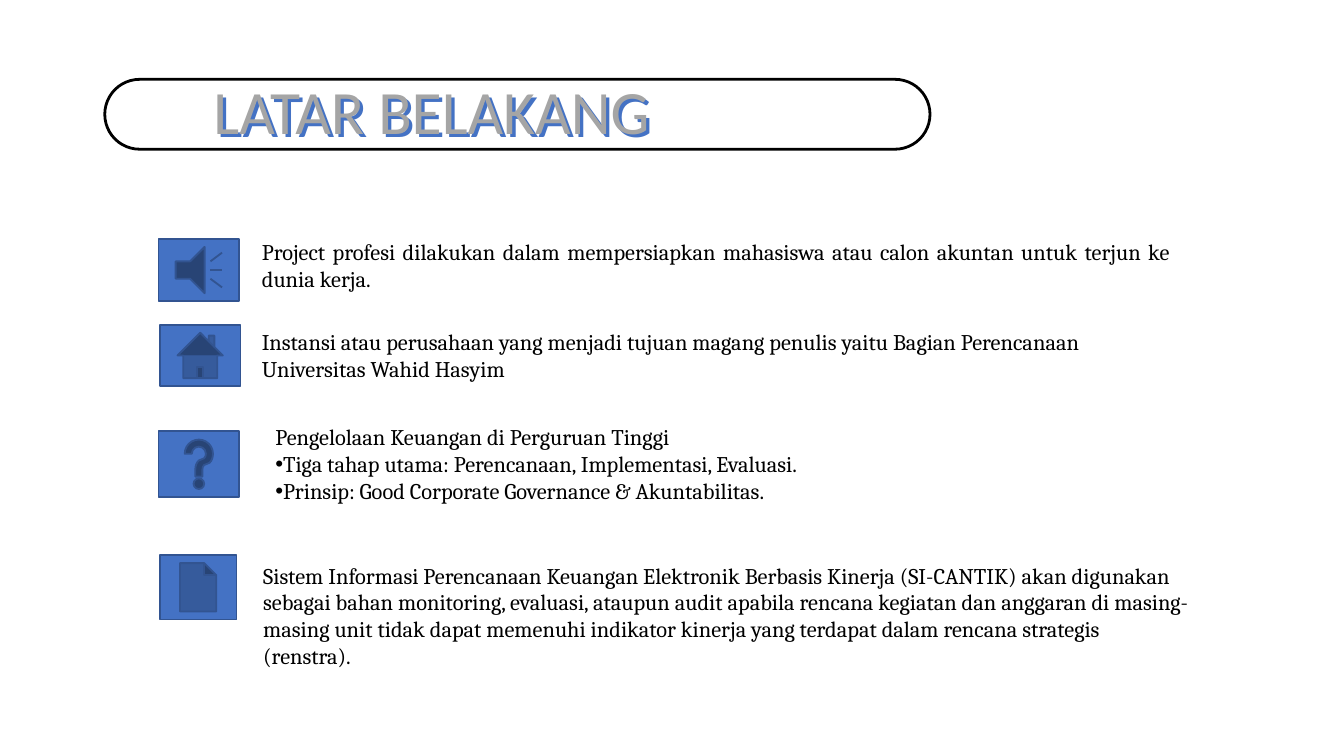
from lxml.etree import SubElement
from pptx import Presentation
from pptx.dml.color import RGBColor
from pptx.enum.shapes import MSO_SHAPE as Kind
from pptx.enum.text import MSO_ANCHOR as Anchor, MSO_AUTO_SIZE as Fit, PP_ALIGN as Align
from pptx.oxml.ns import qn
from pptx.util import Inches, Pt

THEME = {
    "white": "FFFFFF", "black": "000000", "gray": "A5A5A5",
    "blue": "4472C4", "edge": "325491",
    "head": {"name": "Calibri", "size": Pt(33)},
    "body": {"name": "Cambria", "size": Pt(12)},
}
MIDDLE = {"vertical_anchor": Anchor.MIDDLE, "margin_top": Inches(0.1),
          "margin_bottom": Inches(0.1)}
GROW = {"auto_size": Fit.SHAPE_TO_FIT_TEXT}

TITLE = "LATAR BELAKANG"
BANNER = (0.78, 0.59, 6.14, 0.52)
HEAD = (1.49, 0.63, 5.73, 0.44)

# A line that starts with a bullet sign becomes a bulleted paragraph.
ROWS = [
    {"icon": Kind.ACTION_BUTTON_SOUND, "spot": (1.18, 1.78, 0.6, 0.46),
     "box": (1.7, 1.74, 7.11, 0.46),
     "frame": MIDDLE, "align": Align.JUSTIFY, "indent": 0.15,
     "lines": ["Project profesi dilakukan dalam mempersiapkan mahasiswa atau calon "
               "akuntan untuk terjun ke dunia kerja."]},
    {"icon": Kind.ACTION_BUTTON_HOME, "spot": (1.19, 2.42, 0.6, 0.45),
     "box": (1.85, 2.39, 6.96, 0.5),
     "lines": ["Instansi atau perusahaan yang menjadi tujuan magang penulis yaitu "
               "Bagian Perencanaan Universitas Wahid Hasyim"]},
    {"icon": Kind.ACTION_BUTTON_HELP, "spot": (1.18, 3.21, 0.6, 0.49),
     "box": (1.95, 3.1, 7.18, 0.91),
     "lines": ["Pengelolaan Keuangan di Perguruan Tinggi",
               "•Tiga tahap utama: Perencanaan, Implementasi, Evaluasi.",
               "•Prinsip: Good Corporate Governance & Akuntabilitas."]},
    {"icon": Kind.ACTION_BUTTON_DOCUMENT, "spot": (1.19, 4.13, 0.57, 0.48),
     "box": (1.86, 4.13, 7.11, 1.11),
     "lines": ["Sistem Informasi Perencanaan Keuangan Elektronik Berbasis Kinerja "
               "(SI-CANTIK) akan digunakan sebagai bahan monitoring, evaluasi, ataupun "
               "audit apabila rencana kegiatan dan anggaran di masing-masing unit tidak "
               "dapat memenuhi indikator kinerja yang terdapat dalam rencana strategis "
               "(renstra)."]},
]


def color(name):
    return RGBColor.from_string(THEME[name])


def place(spot):
    return [Inches(n) for n in spot]


def add_shape(slide, kind, spot, fill, line, width):
    shape = slide.shapes.add_shape(kind, *place(spot))
    shape.shadow.inherit = False
    shape.fill.solid()
    shape.fill.fore_color.rgb = color(fill)
    shape.line.color.rgb = color(line)
    shape.line.width = Pt(width)
    return shape


def add_text(slide, spot, lines, font, tint, frame, align=None, indent=0):
    box = slide.shapes.add_textbox(*place(spot))
    text = box.text_frame
    for key, value in {"word_wrap": True, **frame}.items():
        setattr(text, key, value)
    for i, line in enumerate(lines):
        para = text.add_paragraph() if i else text.paragraphs[0]
        props = para._p.get_or_add_pPr()
        if indent:
            props.set("marL", str(Inches(indent)))
            props.set("indent", "0")
        if line.startswith("•"):
            SubElement(props, qn("a:buFont"), typeface="Arial")
            SubElement(props, qn("a:buChar"), char="•")
        para.alignment = align
        run = para.add_run()
        run.text = line.lstrip("•")
        for key, value in THEME[font].items():
            setattr(run.font, key, value)
        run.font.color.rgb = color(tint)
    return box


def cast_shadow(box, tint):
    """Give an unfilled box a hard shadow, which falls from its letters."""
    effects = SubElement(box._element.spPr, qn("a:effectLst"))
    shadow = SubElement(effects, qn("a:outerShdw"), dist=str(Pt(2.5)),
                        dir="2700000", algn="tl", rotWithShape="0")
    SubElement(shadow, qn("a:srgbClr"), val=THEME[tint])


def main():
    deck = Presentation()
    deck.slide_width = Inches(10)
    deck.slide_height = deck.slide_width * 9 // 16
    slide = deck.slides.add_slide(deck.slide_layouts[6])

    banner = add_shape(slide, Kind.ROUNDED_RECTANGLE, BANNER, "white", "black", 1.5)
    banner.adjustments[0] = 0.5
    head = add_text(slide, HEAD, [TITLE], "head", "gray", MIDDLE)
    head.text_frame.paragraphs[0].line_spacing = 0.9
    cast_shadow(head, "blue")

    for row in ROWS:
        add_shape(slide, row["icon"], row["spot"], "blue", "edge", 1)
        add_text(slide, row["box"], row["lines"], "body", "black",
                 row.get("frame", GROW), row.get("align"), row.get("indent", 0))
    deck.save("out.pptx")


if __name__ == "__main__":
    main()
